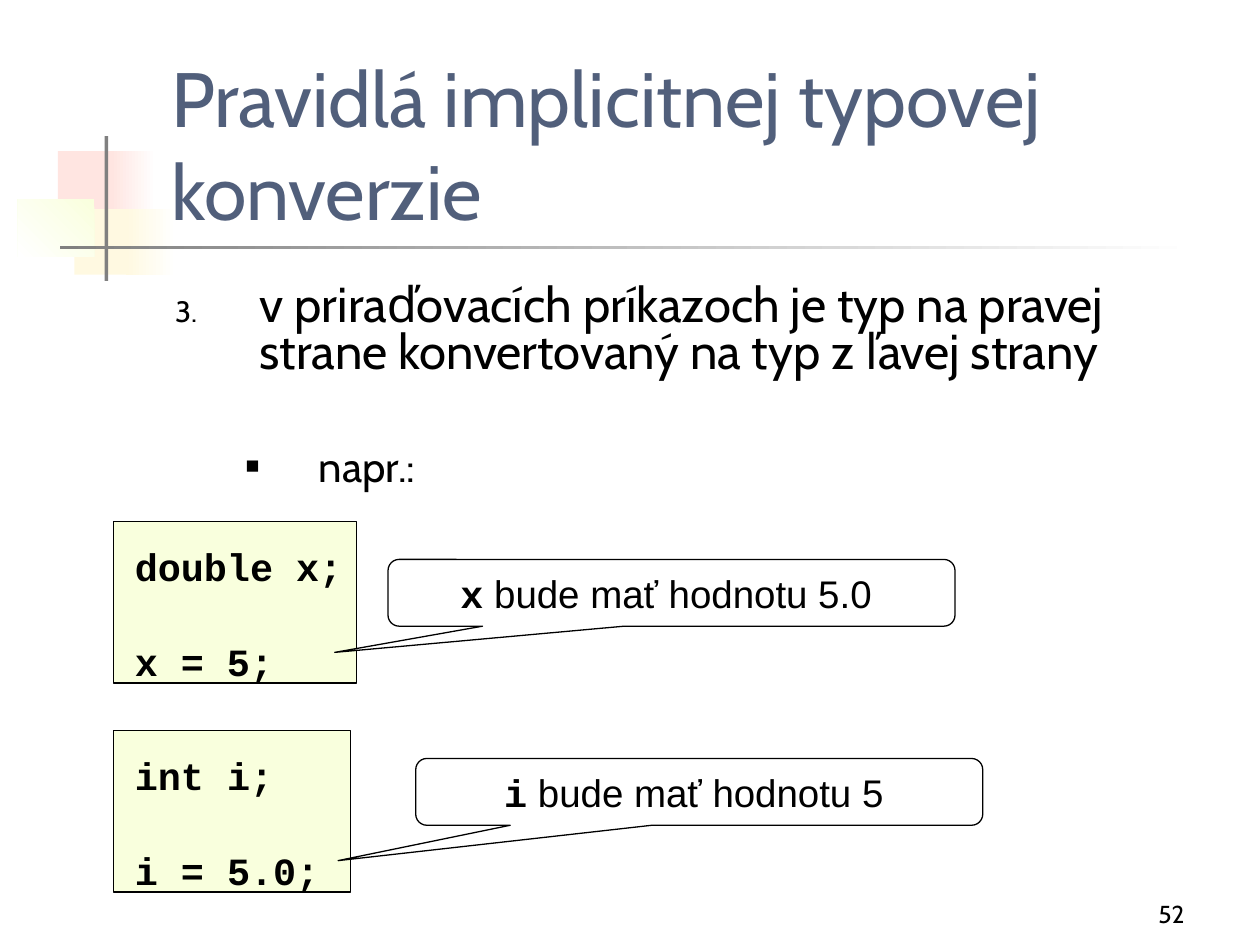
import pptx
import pptx.util
import pptx.dml.color
import pptx.enum.shapes
import pptx.enum.text
from lxml import etree
from pptx.oxml.ns import qn

Inches = pptx.util.Inches
Pt = pptx.util.Pt
SHAPE = pptx.enum.shapes.MSO_SHAPE
ANCHOR = pptx.enum.text.MSO_ANCHOR
ALIGN = pptx.enum.text.PP_ALIGN

BLACK, WHITE, GRAY = "000000", "FFFFFF", "808080"
PINK, CREAM, LIME, SLATE = "FFE5E1", "FFF9E1", "F9FFDD", "515F7B"
CODE_SIZE = 22

TITLE = "Pravidlá implicitnej typovej konverzie"
# text, level, size, left margin, hanging indent, space before, bullet tag, attributes, bullet percent
BODY = [
    ("v priraďovacích príkazoch je typ na pravej strane konvertovaný na typ z ľavej strany",
     0, 28, 0.67, 0.67, 0, "a:buAutoNum", {"type": "arabicPeriod", "startAt": "3"}, 60),
    ("napr.:", 1, 24, 1.14, 0.58, 41, "a:buChar", {"char": "■"}, 55),
]
# box, fill colours (two make a gradient), gradient angle
DECORATIONS = [
    ((0.46, 1.2, 0.48, 0.52), [PINK], 0),
    ((0.88, 1.2, 0.36, 0.52), [WHITE, PINK], 180),
    ((0.59, 1.66, 0.46, 0.52), [CREAM], 0),
    ((1, 1.66, 0.4, 0.52), [WHITE, CREAM], 180),
    ((0.14, 1.58, 0.61, 0.46), [LIME, WHITE], 225),
    ((0.83, 1.08, 0.03, 1.15), [GRAY], 0),
    ((0.48, 1.95, 9, 0.03), [WHITE, GRAY], 180),
]
# top, frame width, code width, code lines
LISTINGS = [
    (4.14, 1.93, 1.83, ["double x;", "x = 5;"]),
    (5.8, 1.88, 1.65, ["int i;", "i = 5.0;"]),
]
# left, top, pointer offset, variable, explanation
CALLOUTS = [
    (3.08, 4.44, (-0.594, 0.893), "x", " bude mať hodnotu 5.0 "),
    (3.3, 6.02, (-0.637, 1.03), "i", " bude mať hodnotu 5 "),
]


def color(value):
    return pptx.dml.color.RGBColor.from_string(value)


def place(shape, box):
    shape.left, shape.top, shape.width, shape.height = map(Inches, box)


def add_box(shapes, kind, box, fills, angle=0, outlined=False):
    shape = shapes.add_shape(kind, *map(Inches, box))
    shape.shadow.inherit = False
    if len(fills) == 1:
        shape.fill.solid()
        shape.fill.fore_color.rgb = color(fills[0])
    else:
        shape.fill.gradient()
        shape.fill.gradient_angle = angle
        for stop, value in zip(shape.fill.gradient_stops, fills):
            stop.color.rgb = color(value)
    if outlined:
        shape.line.color.rgb = color(BLACK)
        shape.line.width = Pt(0.75)
    else:
        shape.line.fill.background()
    return shape


def set_frame(shape, anchor, side=0.1, top=0.05, wrap=True):
    frame = shape.text_frame
    frame.auto_size = pptx.enum.text.MSO_AUTO_SIZE.NONE
    frame.word_wrap = wrap
    frame.vertical_anchor = anchor
    frame.margin_left = frame.margin_right = Inches(side)
    frame.margin_top, frame.margin_bottom = Inches(top), Inches(0.05)
    return frame


def add_run(paragraph, text, size, font="Cabin", value=BLACK, bold=False):
    run = paragraph.add_run()
    run.text = text
    run.font.size = Pt(size)
    run.font.name = font
    run.font.bold = bold
    run.font.color.rgb = color(value)


def nth_paragraph(frame, index):
    return frame.add_paragraph() if index else frame.paragraphs[0]


def add_bullet(paragraph, tag, attributes, percent, margin, hanging):
    properties = paragraph._p.get_or_add_pPr()
    properties.set("marL", str(Inches(margin)))
    properties.set("indent", str(-Inches(hanging)))
    bullet_color = etree.SubElement(properties, qn("a:buClr"))
    etree.SubElement(bullet_color, qn("a:srgbClr"), val=BLACK)
    etree.SubElement(properties, qn("a:buSzPct"), val=str(percent * 1000))
    if tag == "a:buChar":
        etree.SubElement(properties, qn("a:buFont"), typeface="Arial")
    etree.SubElement(properties, qn(tag), **attributes)


def add_listing(slide, top, frame_width, code_width, lines):
    group = slide.shapes.add_group_shape()
    add_box(group.shapes, SHAPE.RECTANGLE, (0.9, top, frame_width, 1.28), [LIME], outlined=True)
    code = add_box(group.shapes, SHAPE.RECTANGLE, (0.98, top + 0.08, code_width, 1.19), [LIME])
    frame = set_frame(code, ANCHOR.TOP, side=0.09, top=0.09, wrap=False)
    for index, line in enumerate(lines):
        paragraph = nth_paragraph(frame, index)
        paragraph.alignment = ALIGN.LEFT
        paragraph.space_before = Pt(28 if index else 0)
        add_run(paragraph, line, CODE_SIZE, "Courier New", bold=True)


def add_callout(slide, left, top, pointer, variable, explanation):
    callout = add_box(slide.shapes, SHAPE.ROUNDED_RECTANGULAR_CALLOUT,
                      (left, top, 4.5, 0.53), [WHITE], outlined=True)
    for index, value in enumerate((*pointer, 0.167)):
        callout.adjustments[index] = value
    paragraph = set_frame(callout, ANCHOR.MIDDLE, side=0.09).paragraphs[0]
    paragraph.alignment = ALIGN.CENTER
    add_run(paragraph, variable, CODE_SIZE, "Courier New", bold=True)
    add_run(paragraph, explanation, CODE_SIZE, "Arial")


def main():
    presentation = pptx.Presentation()
    presentation.slide_width, presentation.slide_height = Inches(10), Inches(7.5)
    slide = presentation.slides.add_slide(presentation.slide_layouts[1])
    title, body = slide.shapes.title, slide.placeholders[1]

    for box, fills, angle in DECORATIONS:
        decoration = add_box(slide.shapes, SHAPE.RECTANGLE, box, fills, angle)
        title._element.addprevious(decoration._element)

    place(title, (1.26, 0.67, 8.52, 1.25))
    paragraph = set_frame(title, ANCHOR.BOTTOM).paragraphs[0]
    paragraph.alignment = ALIGN.LEFT
    add_run(paragraph, TITLE, 44, value=SLATE)

    place(body, (1.29, 2.21, 8.5, 1.83))
    frame = set_frame(body, ANCHOR.TOP)
    for index, (text, level, size, margin, hanging, before, tag, attributes, percent) in enumerate(BODY):
        paragraph = nth_paragraph(frame, index)
        paragraph.level = level
        add_bullet(paragraph, tag, attributes, percent, margin, hanging)
        paragraph.line_spacing = 0.8
        paragraph.space_before = Pt(before)
        add_run(paragraph, text, size)

    for listing in LISTINGS:
        add_listing(slide, *listing)
    for callout in CALLOUTS:
        add_callout(slide, *callout)

    page_number = slide.shapes.add_textbox(*map(Inches, (7.42, 6.92, 2.08, 0.5)))
    paragraph = set_frame(page_number, ANCHOR.BOTTOM).paragraphs[0]
    paragraph.alignment = ALIGN.RIGHT
    add_run(paragraph, "52", 14)

    presentation.save("out.pptx")


if __name__ == "__main__":
    main()
